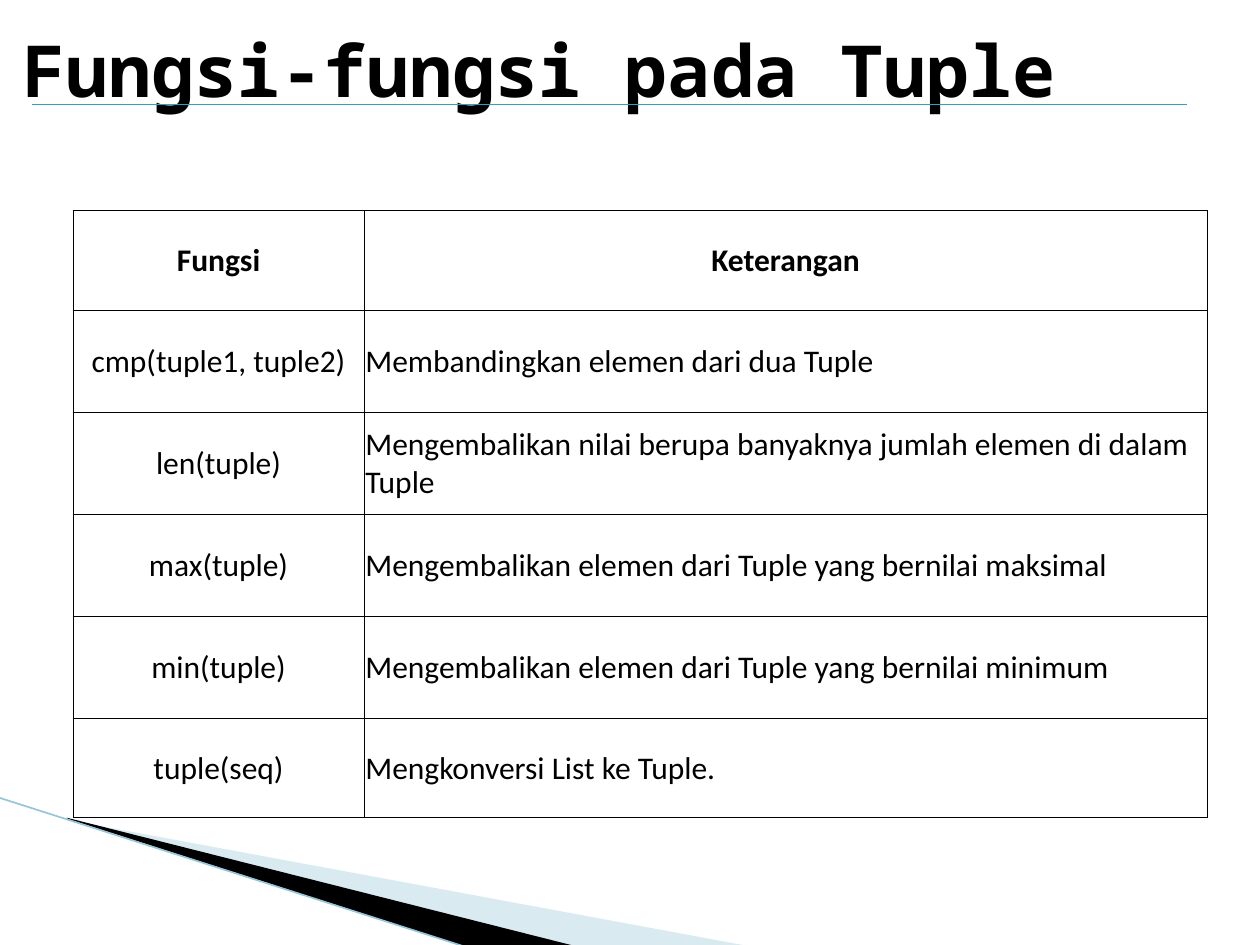
import pptx
import pptx.util
import pptx.dml.color
import pptx.enum.shapes
import pptx.enum.text
import pptx.oxml
import pptx.oxml.ns
import lxml.etree

Inches, Pt = pptx.util.Inches, pptx.util.Pt
ALIGN = pptx.enum.text.PP_ALIGN
MIDDLE = pptx.enum.text.MSO_ANCHOR.MIDDLE
qn = pptx.oxml.ns.qn


def rgb(color):
    return pptx.dml.color.RGBColor.from_string(color)


def write(frame, text, size=18, font="Calibri", bold=False, align=ALIGN.LEFT):
    frame.word_wrap = True
    paragraph = frame.paragraphs[0]
    paragraph.alignment = align
    run = paragraph.add_run()
    run.text = text
    run.font.size = Pt(size)
    run.font.name = font
    run.font.bold = bold
    run.font.color.rgb = rgb("000000")


prs = pptx.Presentation()
prs.slide_width, prs.slide_height = Inches(10), Inches(7.5)
slide = prs.slides.add_slide(prs.slide_layouts[6])
shapes = slide.shapes

# Corner wedges: outline, colour, opacity in percent
wedges = [
    ([(0.55, 6.51), (5.95, 7.51), (4.56, 7.51), (0.55, 6.5)], "A0CBDC", 40),
    ([(0.53, 6.49), (4.57, 7.51), (3.72, 7.52), (0.54, 6.5)], "000000", 100),
]
for outline, color, opacity in wedges:
    corners = [(Inches(x), Inches(y)) for x, y in outline]
    builder = shapes.build_freeform(*corners[0])
    builder.add_line_segments(corners[1:], close=True)
    wedge = builder.convert_to_shape()
    wedge.shadow.inherit = False
    wedge.fill.solid()
    wedge.fill.fore_color.rgb = rgb(color)
    wedge.line.fill.background()
    if opacity < 100:
        tint = wedge._element.spPr.find(".//" + qn("a:srgbClr"))
        lxml.etree.SubElement(tint, qn("a:alpha"), val=str(opacity * 1000))

# Title
title = shapes.add_textbox(Inches(0.08), Inches(-0.08), Inches(9), Inches(1.25))
title.text_frame.vertical_anchor = MIDDLE
write(title.text_frame, "Fungsi-fungsi pada Tuple", size=41,
      font="Noto Sans Mono", bold=True)

# Corner edge and title rule
rules = [
    (-0.01, 6.33, 3.71, 7.52, "97C5D8", 0.95),
    (0.25, 0.83, 9.42, 0.83, "2DA2BF", 0.75),
]
for x1, y1, x2, y2, color, width in rules:
    rule = shapes.add_connector(pptx.enum.shapes.MSO_CONNECTOR.STRAIGHT,
                                Inches(x1), Inches(y1), Inches(x2), Inches(y2))
    rule.line.color.rgb = rgb(color)
    rule.line.width = Pt(width)
    lxml.etree.SubElement(rule._element.spPr, qn("a:effectLst"))

# Function table
functions = [
    ("Fungsi", "Keterangan"),
    ("cmp(tuple1, tuple2)", "Membandingkan elemen dari dua Tuple"),
    ("len(tuple)", "Mengembalikan nilai berupa banyaknya jumlah elemen di dalam Tuple"),
    ("max(tuple)", "Mengembalikan elemen dari Tuple yang bernilai maksimal"),
    ("min(tuple)", "Mengembalikan elemen dari Tuple yang bernilai minimum"),
    ("tuple(seq)", "Mengkonversi List ke Tuple."),
]
table = shapes.add_table(len(functions), 2, Inches(0.58), Inches(1.67),
                         Inches(9), Inches(4.83)).table
table.first_row = table.horz_banding = False
for column, width in zip(table.columns, (2.31, 6.69)):
    column.width = Inches(width)
for row, height in zip(table.rows, (0.79, 0.81, 0.81, 0.81, 0.81, 0.79)):
    row.height = Inches(height)

for r, texts in enumerate(functions):
    for c, text in enumerate(texts):
        cell = table.cell(r, c)
        cell.vertical_anchor = MIDDLE
        cell.margin_left = cell.margin_right = cell.margin_top = Inches(0.01)
        cell.margin_bottom = 0
        centred = r == 0 or c == 0
        write(cell.text_frame, text, bold=r == 0,
              align=ALIGN.CENTER if centred else ALIGN.LEFT)
        properties = cell._tc.get_or_add_tcPr()
        for side in ("a:lnL", "a:lnR", "a:lnT", "a:lnB"):
            border = lxml.etree.SubElement(properties, qn(side), w=str(Pt(0.5)))
            fill = lxml.etree.SubElement(border, qn("a:solidFill"))
            lxml.etree.SubElement(fill, qn("a:srgbClr"), val="000000")
        cell.fill.background()

prs.save("out.pptx")
